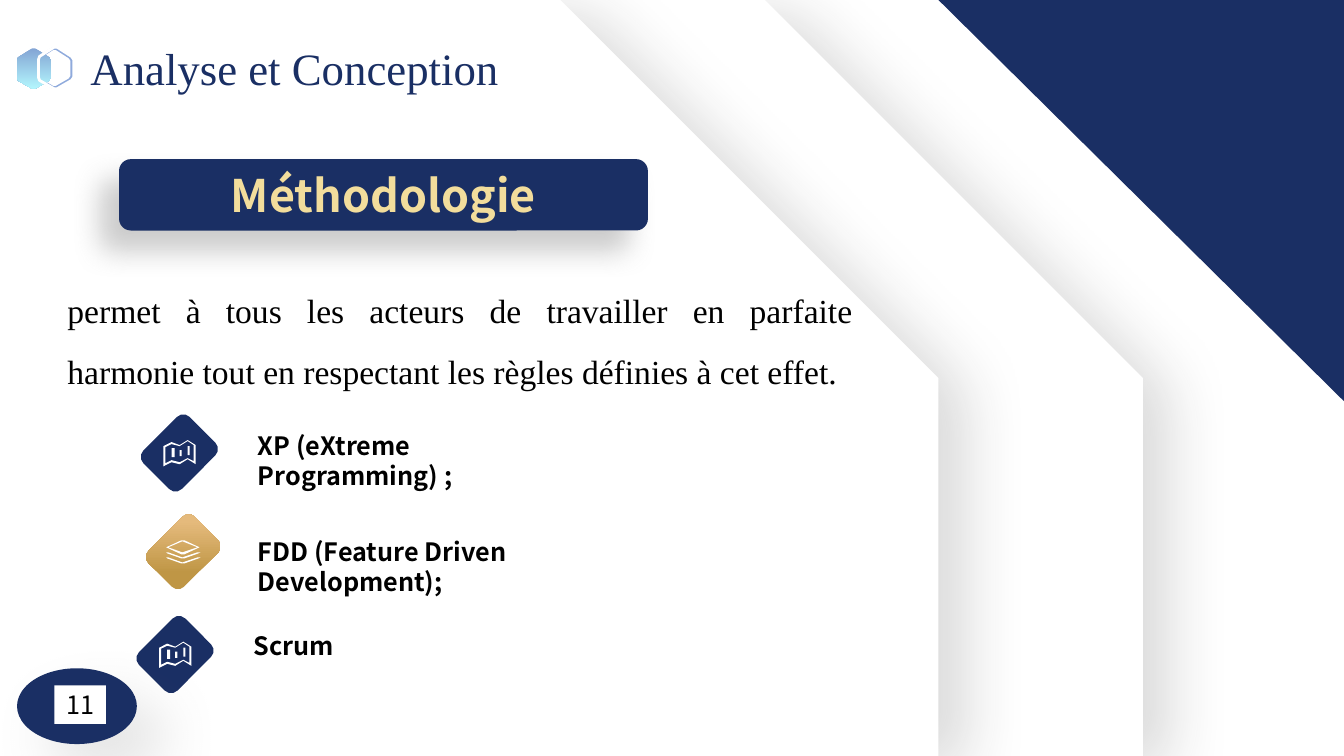
from lxml import etree
from pptx import Presentation
from pptx.dml.color import RGBColor
from pptx.enum.shapes import MSO_SHAPE as Kind
from pptx.enum.text import MSO_ANCHOR as Anchor, PP_ALIGN as Align
from pptx.oxml.ns import qn
from pptx.util import Cm, Pt

HUE = {
    "navy": "1A2F64", "white": "FFFFFF", "mist": "E7E8EA", "black": "000000",
    "cream": "F2DD9C", "bronze": "BF9645", "gold": "E5BA7C", "steel": "83A4D4",
    "aqua": "B2F4FC", "sky": "8FAADC", "soot": "262626", "grey": "808080",
}
SANS, SERIF = "Noto Sans CJK SC", "Times New Roman"

TITLE = "Analyse et Conception"
BANNER = "Méthodologie"
BODY = ("permet à tous les acteurs de travailler en parfaite harmonie "
        "tout en respectant les règles définies à cet effet.")
NUMBER = "11"
METHODS = [
    ("XP (eXtreme Programming) ;", (6.25, 10.72, 9.02),
     (4.52, 11.42, 1.37), "map"),
    ("FDD (Feature Driven Development);", (6.25, 13.39, 10.08),
     (4.62, 13.91, 1.27), "layers"),
    ("Scrum", (6.15, 15.77, 9.02), (4.41, 16.5, 1.37), "map"),
]
PANELS = [
    (Kind.SNIP_1_RECTANGLE, (9.55, 0, 19.25, 19.05), [0.5]),
    (Kind.SNIP_ROUND_RECTANGLE, (-0.2, 0, 23.85, 19.05), [0, 0.5]),
]
VEIL = ("soot", 17, 45, 22, 25)


def bar(left, top, right, base):
    return [(left, top), (right, top), (right, base), (left, base)]


def band(drop):
    edge = [(2, 13), (0, 13), (1, 14), (15, 19), (18, 19),
            (32, 14), (34, 13), (31, 13), (16, 18)]
    return [(x, y + drop) for x, y in edge]


HEXAGON = [[(0, 12), (1, 9), (15, 0), (18, 0), (32, 9), (34, 12),
            (34, 29), (32, 32), (18, 40), (15, 40), (1, 32), (0, 29)]]
ICONS = {
    "map": ((0.4, 0.33), [
        [(24, 0), (16, 5), (8, 2), (0, 6), (0, 26),
         (8, 22), (16, 24), (24, 19), (32, 24), (32, 5)],
        [(30, 21), (24, 18), (16, 22), (8, 20), (2, 23),
         (2, 7), (8, 4), (16, 6), (24, 1), (30, 5)],
        bar(8, 8, 11, 17), bar(16, 10, 18, 16), bar(24, 6, 26, 15)]),
    "layers": ((0.43, 0.32), [
        [(0, 8), (15, 15), (18, 15), (33, 8), (18, 1), (15, 1)],
        [(16, 2), (31, 8), (16, 13), (2, 8)], band(0), band(5)]),
}
UNIT = Cm(2.54) / 100

deck = Presentation()
deck.slide_width, deck.slide_height = Cm(33.87), Cm(19.05)
page = deck.slides.add_slide(deck.slide_layouts[6])


def tint(name):
    return RGBColor.from_string(HUE[name])


def blend(item, stops, angle):
    item.fill.gradient()
    item.fill.gradient_angle = angle
    for stop, (name, spot) in zip(item.fill.gradient_stops, stops):
        stop.color.rgb, stop.position = tint(name), spot


def cast(item, name, alpha, blur, dist, angle):
    item.shadow.inherit = False
    effect = item.element.spPr.find(qn("a:effectLst"))
    outer = etree.SubElement(
        effect, qn("a:outerShdw"), blurRad=str(Pt(blur)), dist=str(Pt(dist)),
        dir=str(angle * 60000), algn="ctr", rotWithShape="0")
    color = etree.SubElement(outer, qn("a:srgbClr"), val=HUE[name])
    etree.SubElement(color, qn("a:alpha"), val=str(alpha * 1000))


def paint(item, fill=None):
    item.shadow.inherit = False
    item.line.fill.background()
    if fill:
        item.fill.solid()
        item.fill.fore_color.rgb = tint(fill)
    return item


def shape(kind, box, fill=None, adjust=()):
    item = page.shapes.add_shape(kind, *map(Cm, box))
    for index, value in enumerate(adjust):
        item.adjustments[index] = value
    return paint(item, fill)


def draw(loops, left, top, fill=None, scale=1):
    pen = page.shapes.build_freeform(*loops[0][0], scale=UNIT * scale)
    for index, loop in enumerate(loops):
        if index:
            pen.move_to(*loop[0])
        pen.add_line_segments(loop[1:], close=True)
    return paint(pen.convert_to_shape(Cm(left), Cm(top)), fill)


def trace(item, color):
    item.fill.background()
    item.line.color.rgb = tint(color)
    item.line.width = Pt(2)


def write(item, text, size, font, color, bold=False, align=Align.LEFT,
          wrap=True, anchor=Anchor.TOP):
    frame = item.text_frame
    frame.word_wrap, frame.vertical_anchor = wrap, anchor
    par = frame.paragraphs[0]
    par.alignment = align
    run = par.add_run()
    run.text = text
    run.font.size, run.font.name, run.font.bold = Pt(size), font, bold
    run.font.color.rgb = tint(color)
    return par


def label(box, *args, **more):
    return write(page.shapes.add_textbox(*map(Cm, box)), *args, **more)


back = shape(Kind.RECTANGLE, (0, 0, 33.87, 19.05))
blend(back, [("mist", 0), ("white", 0.51)], 45)
corner = shape(Kind.RIGHT_TRIANGLE, (23.65, 0, 10.22, 10.11), "navy")
corner.rotation = 180
for kind, box, adjust in PANELS:
    cast(shape(kind, box, "white", adjust), *VEIL)

banner = shape(Kind.ROUNDED_RECTANGLE, (3, 4.01, 13.33, 1.8), "navy")
cast(banner, "grey", 40, 20, 20, 135)
write(banner, BANNER, 32, SANS, "cream", True, Align.CENTER,
      anchor=Anchor.MIDDLE)

par = label((1.45, 6.68, 20.29, 3.15), BODY, 24, SERIF, "black",
            align=Align.JUSTIFY)
par.line_spacing, par.space_after = 1.5, Pt(8)

for text, (left, top, width), (mid, level, side), icon in METHODS:
    badge = shape(Kind.ROUNDED_RECTANGLE,
                  (mid - side / 2, level - 0.83, side, 1.65), "navy")
    badge.rotation = 45
    if icon == "layers":
        blend(badge, [("bronze", 0.24), ("gold", 0.87)], 135)
    (dx, dy), loops = ICONS[icon]
    draw(loops, mid - dx, level - dy, "white")
    label((left, top, width, 1.02), text, 18, SANS, "black", True)

trace(draw(HEXAGON, 0.97, 1.22, scale=0.97), "sky")
blend(draw(HEXAGON, 0.43, 1.22), [("steel", 0), ("aqua", 0.99)], 270)
trace(draw(HEXAGON, 0.97, 1.19, scale=1.03), "white")
label((2.03, 0.89, 10.9, 1.63), TITLE, 32, SERIF, "navy", wrap=False)

cast(shape(Kind.OVAL, (0.43, 16.84, 3.02, 1.91), "navy"),
     "grey", 20, 40, 30, 45)
plate = shape(Kind.RECTANGLE, (1.37, 17.27, 1.3, 0.97), "white")
write(plate, NUMBER, 18, SANS, "black", align=Align.CENTER,
      wrap=False, anchor=Anchor.MIDDLE)

deck.save("out.pptx")
